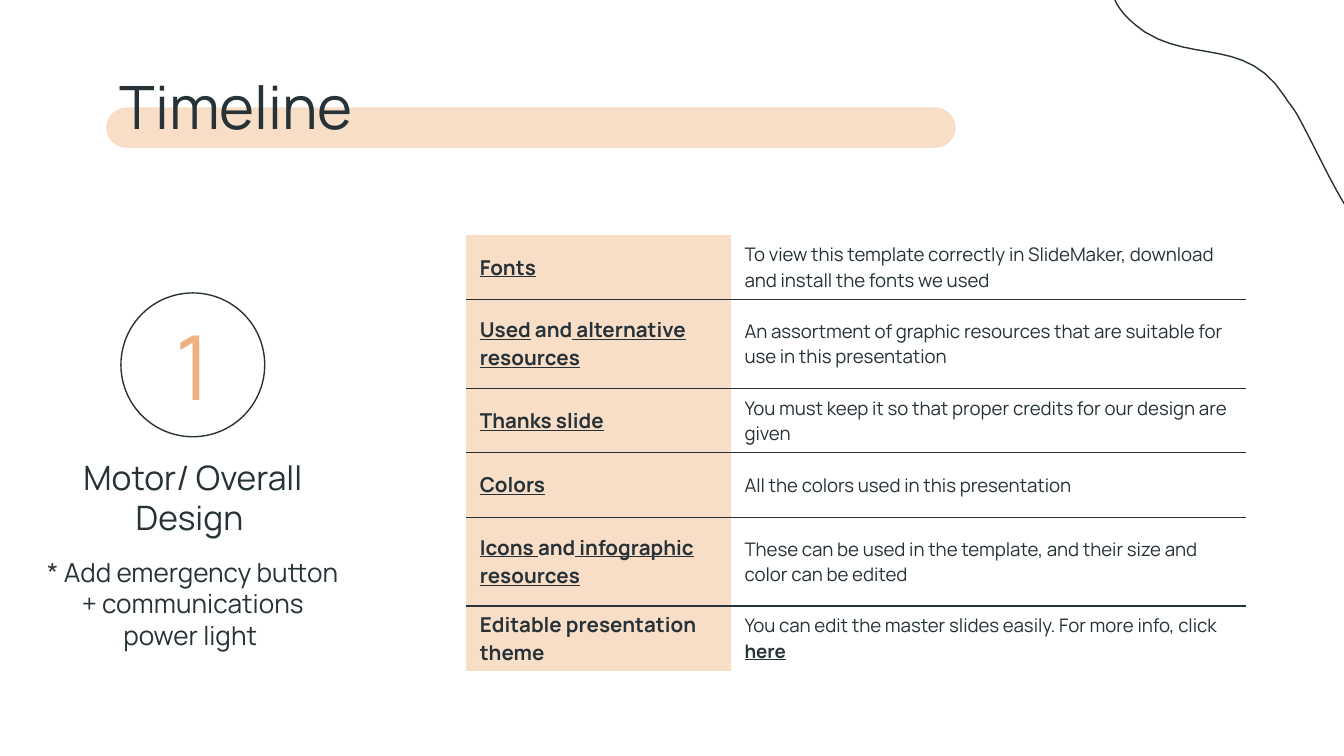
from lxml import etree
from pptx import Presentation
from pptx import util as u
from pptx.dml.color import RGBColor
from pptx.enum import shapes, text
from pptx.oxml.ns import qn

FONT = "Manrope"
DARK, PEACH, ORANGE = "263238", "F9DEC7", "EDB280"

# Content: runs are (text, underlined) on the left, (text, bold) on the right
ROWS = [
    (0.48, [("Fonts", True)],
     [("To view this template correctly in SlideMaker, download and install the fonts we used", False)]),
    (0.66, [("Used", True), (" and", False), (" alternative resources", True)],
     [("An assortment of graphic resources that are suitable for use in this presentation", False)]),
    (0.48, [("Thanks slide", True)],
     [("You must keep it so that proper credits for our design are given", False)]),
    (0.48, [("Colors", True)],
     [("All the colors used in this presentation", False)]),
    (0.66, [("Icons ", True), ("and", False), (" infographic resources", True)],
     [("These can be used in the template, and their size and color can be edited", False)]),
    (0.48, [("Editable presentation theme", False)],
     [("You can edit the master slides easily. For more info, click ", False), ("here", True)]),
]
COLUMNS = [1.97, 3.83]

# Text boxes: box, text, size, colour, anchor
LABELS = [
    ((0.95, 2.33, 0.97, 0.77), "1", 48, ORANGE, text.MSO_ANCHOR.MIDDLE),
    ((0.23, 3.3, 2.41, 0.41), "Motor/ Overall Design ", 18, DARK, text.MSO_ANCHOR.TOP),
    ((0.23, 4.04, 2.41, 0.93), "* Add emergency button + communications power light ",
     14, DARK, text.MSO_ANCHOR.TOP),
]

# Corner curve: start point, then Bézier segments (two controls and an end)
CURVE_START = (8.31, 0.03)
CURVE = [
    ((8.35, 0.1), (8.42, 0.17), (8.52, 0.24)),
    ((8.89, 0.47), (9.28, 0.28), (9.56, 0.72)),
    ((9.59, 0.77), (9.62, 0.8), (9.65, 0.85)),
    ((9.77, 1.07), (9.87, 1.29), (9.98, 1.48)),
    ((10.12, 1.72), (10.28, 1.93), (10.57, 2.11)),
    ((11.06, 2.4), (11.45, 2.29), (11.81, 1.97)),
    ((12.43, 1.42), (12.4, 0.63), (12, -0.07)),
    ((11.83, -0.36), (11.59, -0.64), (11.3, -0.88)),
    ((10.39, -1.61), (9.29, -1.57), (8.58, -0.87)),
    ((8.36, -0.65), (8.13, -0.28), (8.31, 0.03)),
]
STEPS = 12


def color(value):
    return RGBColor.from_string(value)


def inches(values):
    return [u.Inches(value) for value in values]


def add_run(paragraph, content, size, value=DARK, bold=False, underline=False):
    run = paragraph.add_run()
    run.text = content
    font = run.font
    font.name, font.size = FONT, u.Pt(size)
    font.bold, font.underline = bold, underline
    font.color.rgb = color(value)


def set_frame(frame, anchor, margin=0.1):
    frame.word_wrap = True
    frame.auto_size = text.MSO_AUTO_SIZE.NONE
    frame.vertical_anchor = anchor
    frame.margin_left = frame.margin_right = u.Inches(margin)
    frame.margin_top = frame.margin_bottom = u.Inches(margin)


def outline(shape):
    shape.shadow.inherit = False
    shape.fill.background()
    shape.line.color.rgb = color(DARK)
    shape.line.width = u.Pt(0.75)


def curve_points():
    points, start = [], CURVE_START
    for first, second, end in CURVE:
        for step in range(1, STEPS + 1):
            t = step / STEPS
            s = 1 - t
            points.append(inches(
                s**3 * a + 3 * s * s * t * b + 3 * s * t * t * c + t**3 * d
                for a, b, c, d in zip(start, first, second, end)))
        start = end
    return points


def set_borders(cell, visible):
    properties = cell._tc.get_or_add_tcPr()
    for side in ("lnL", "lnR", "lnT", "lnB"):
        line = etree.SubElement(properties, qn("a:" + side), w=str(u.Pt(0.75)))
        if side in visible:
            fill = etree.SubElement(line, qn("a:solidFill"))
            etree.SubElement(fill, qn("a:srgbClr"), val=DARK)
        else:
            etree.SubElement(line, qn("a:noFill"))


# Widescreen slide, 16:9
presentation = Presentation()
presentation.slide_width = u.Inches(10)
presentation.slide_height = u.Inches(10 * 9 / 16)
slide = presentation.slides.add_slide(presentation.slide_layouts[5])

# Title bar and corner curve
bar = slide.shapes.add_shape(shapes.MSO_SHAPE.ROUNDED_RECTANGLE, *inches((0.79, 0.8, 6.32, 0.3)))
bar.adjustments[0] = 0.5
bar.shadow.inherit = False
bar.fill.solid()
bar.fill.fore_color.rgb = color(PEACH)
bar.line.fill.background()

builder = slide.shapes.build_freeform(*inches(CURVE_START))
builder.add_line_segments(curve_points(), close=True)
outline(builder.convert_to_shape())

# Title, brought in front of the bar
title = slide.shapes.title
title.left, title.top, title.width, title.height = inches((0.79, 0.42, 8.43, 0.67))
set_frame(title.text_frame, text.MSO_ANCHOR.TOP)
title_paragraph = title.text_frame.paragraphs[0]
title_paragraph.alignment = text.PP_ALIGN.LEFT
add_run(title_paragraph, "Timeline", 32)
slide.shapes._spTree.append(title._element)

# Numbered circle and its labels
outline(slide.shapes.add_shape(shapes.MSO_SHAPE.OVAL, *inches((0.9, 2.18, 1.07, 1.07))))
for box, content, size, value, anchor in LABELS:
    frame = slide.shapes.add_textbox(*inches(box)).text_frame
    set_frame(frame, anchor)
    paragraph = frame.paragraphs[0]
    paragraph.alignment = text.PP_ALIGN.CENTER
    add_run(paragraph, content, size, value)

# Table
height = sum(row[0] for row in ROWS)
table = slide.shapes.add_table(
    len(ROWS), len(COLUMNS), *inches((3.47, 1.75, sum(COLUMNS), height))).table
table.first_row = table.horz_banding = False
for column, width in zip(table.columns, COLUMNS):
    column.width = u.Inches(width)
for index, (row_height, names, details) in enumerate(ROWS):
    table.rows[index].height = u.Inches(row_height)
    visible = [side for side, shown in (("lnT", index > 0), ("lnB", index < len(ROWS) - 1)) if shown]
    name_cell, detail_cell = table.cell(index, 0), table.cell(index, 1)
    for cell in (name_cell, detail_cell):
        set_borders(cell, visible)
        cell.vertical_anchor = text.MSO_ANCHOR.MIDDLE
        cell.margin_left = cell.margin_right = u.Inches(0.1)
        cell.margin_top = cell.margin_bottom = 0
    name_cell.fill.solid()
    name_cell.fill.fore_color.rgb = color(PEACH)
    detail_cell.fill.background()
    for content, underlined in names:
        add_run(name_cell.text_frame.paragraphs[0], content, 11, bold=True, underline=underlined)
    for content, strong in details:
        add_run(detail_cell.text_frame.paragraphs[0], content, 10, bold=strong, underline=strong)

presentation.save("out.pptx")
